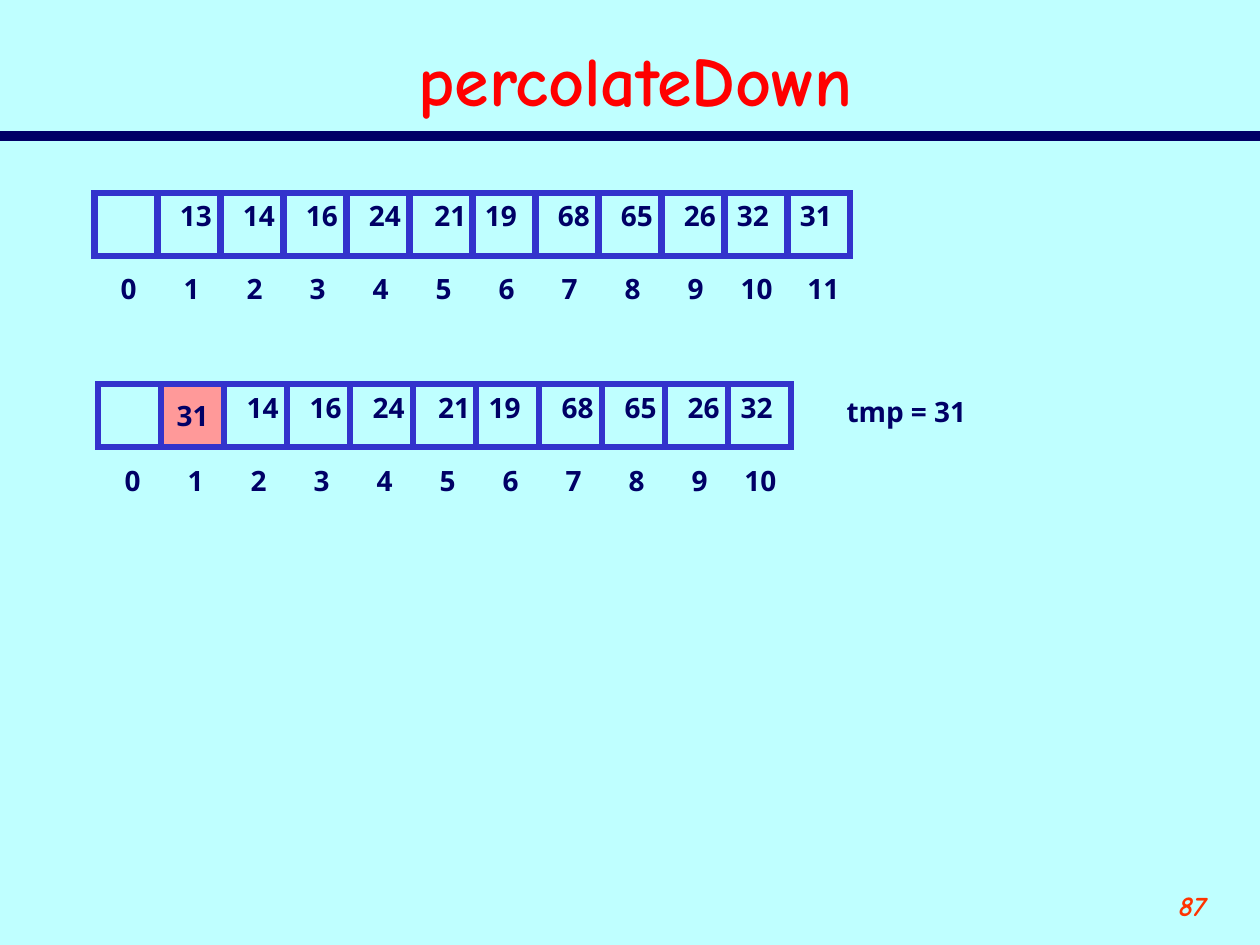
from lxml.etree import SubElement
from pptx import Presentation
from pptx.dml.color import RGBColor
from pptx.enum.shapes import MSO_CONNECTOR as Connector, MSO_SHAPE as Shape
from pptx.enum.text import MSO_ANCHOR as Anchor, MSO_AUTO_SIZE as AutoSize, PP_ALIGN as Align
from pptx.oxml.ns import qn
from pptx.util import Inches, Pt

TITLE = "percolateDown"
PAGE_NUMBER = "87"
TEMP_LABEL = "tmp = 31"
ARRAYS = [
    {"left": 0.75, "top": 1.53, "marked": None,
     "values": ["", "13", "14", "16", "24", "21", "19", "68", "65", "26", "32", "31"]},
    {"left": 0.78, "top": 3.05, "marked": 1,
     "values": ["", "31", "14", "16", "24", "21", "19", "68", "65", "26", "32"]},
]

COLORS = {"back": "BFFFFF", "ink": "000066", "cell": "3333CC",
          "marked": "FF9999", "title": "FF0000", "number": "FF3300"}
HEADING_FONT, BODY_FONT = "Comic Neue", "Noto Sans"
WIDTH, HEIGHT = 10, 7.5
CELL = 0.5
LABEL_DROP = 0.58
LABEL_HEIGHT = 0.37
DIGIT_WIDTHS = {1: 0.32, 2: 0.46}
VALUE_SHIFT, VALUE_SHIFTS = 0.08, {5: 0.1, 6: 0, 10: 0, 11: 0}
INDEX_SHIFT, INDEX_SHIFTS = 0.11, {10: 0.03, 11: 0.06}


def color(name):
    return RGBColor.from_string(COLORS[name])


def write(shape, text, size=16, font=BODY_FONT, ink="ink", italic=False,
          align=Align.LEFT, anchor=Anchor.TOP, wrap=False):
    frame = shape.text_frame
    frame.word_wrap = wrap
    frame.vertical_anchor = anchor
    para = frame.paragraphs[0]
    para.alignment = align
    span = para.add_run()
    span.text = text
    span.font.size = Pt(size)
    span.font.name = font
    span.font.bold = True
    span.font.italic = italic
    span.font.color.rgb = color(ink)


def add_label(page, text, left, top, width):
    box = page.shapes.add_textbox(Inches(left), Inches(top), Inches(width), Inches(LABEL_HEIGHT))
    write(box, text)
    box.text_frame.auto_size = AutoSize.SHAPE_TO_FIT_TEXT


def add_cell(page, left, top, marked, value):
    cell = page.shapes.add_shape(Shape.RECTANGLE, Inches(left), Inches(top),
                                 Inches(CELL), Inches(CELL))
    cell.shadow.inherit = False
    cell.line.color.rgb = color("cell")
    cell.line.width = Pt(3.5)
    SubElement(cell._element.spPr.find(qn("a:ln")), qn("a:miter"), lim="800000")
    if marked:
        cell.fill.solid()
        cell.fill.fore_color.rgb = color("marked")
        write(cell, value, align=Align.CENTER, anchor=Anchor.MIDDLE)
    else:
        cell.fill.background()


def add_array(page, left, top, marked, values):
    lefts = [left + CELL * column for column in range(len(values))]
    for column, value in enumerate(values):
        add_cell(page, lefts[column], top, column == marked, value)
    for column, value in enumerate(values):
        index = str(column)
        add_label(page, index, lefts[column] + INDEX_SHIFTS.get(column, INDEX_SHIFT),
                  top + LABEL_DROP, DIGIT_WIDTHS[len(index)])
        if value and column != marked:
            add_label(page, value, lefts[column] + VALUE_SHIFTS.get(column, VALUE_SHIFT),
                      top, DIGIT_WIDTHS[len(value)])


def add_heading(page):
    rule = page.shapes.add_connector(Connector.STRAIGHT, 0, Inches(1.08),
                                     Inches(WIDTH), Inches(1.08))
    rule.line.color.rgb = color("ink")
    rule.line.width = Pt(6)
    SubElement(rule._element.spPr, qn("a:effectLst"))
    title = page.shapes.title
    title.left, title.top = Inches(0.42), Inches(0.25)
    title.width, title.height = Inches(9.25), Inches(0.75)
    write(title, TITLE, size=40, font=HEADING_FONT, ink="title",
          align=Align.CENTER, anchor=Anchor.MIDDLE, wrap=True)


def main():
    deck = Presentation()
    deck.slide_width, deck.slide_height = Inches(WIDTH), Inches(HEIGHT)
    page = deck.slides.add_slide(deck.slide_layouts[5])
    page.background.fill.solid()
    page.background.fill.fore_color.rgb = color("back")
    add_heading(page)
    number = page.shapes.add_textbox(Inches(8.67), Inches(7), Inches(1), Inches(0.5))
    write(number, PAGE_NUMBER, font=HEADING_FONT, ink="number", italic=True,
          align=Align.RIGHT, wrap=True)
    for array in ARRAYS:
        add_array(page, **array)
    add_label(page, TEMP_LABEL, 6.62, 3.08, 1.15)
    deck.save("out.pptx")


if __name__ == "__main__":
    main()
